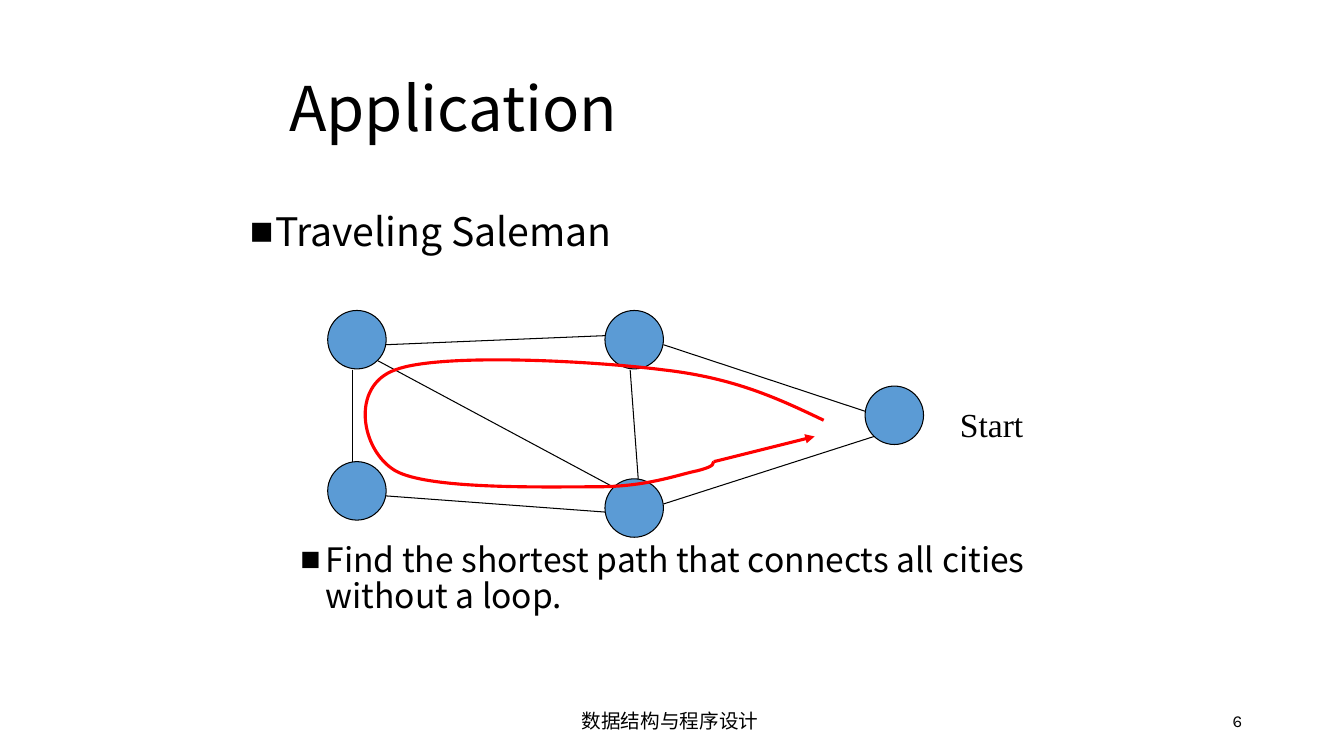
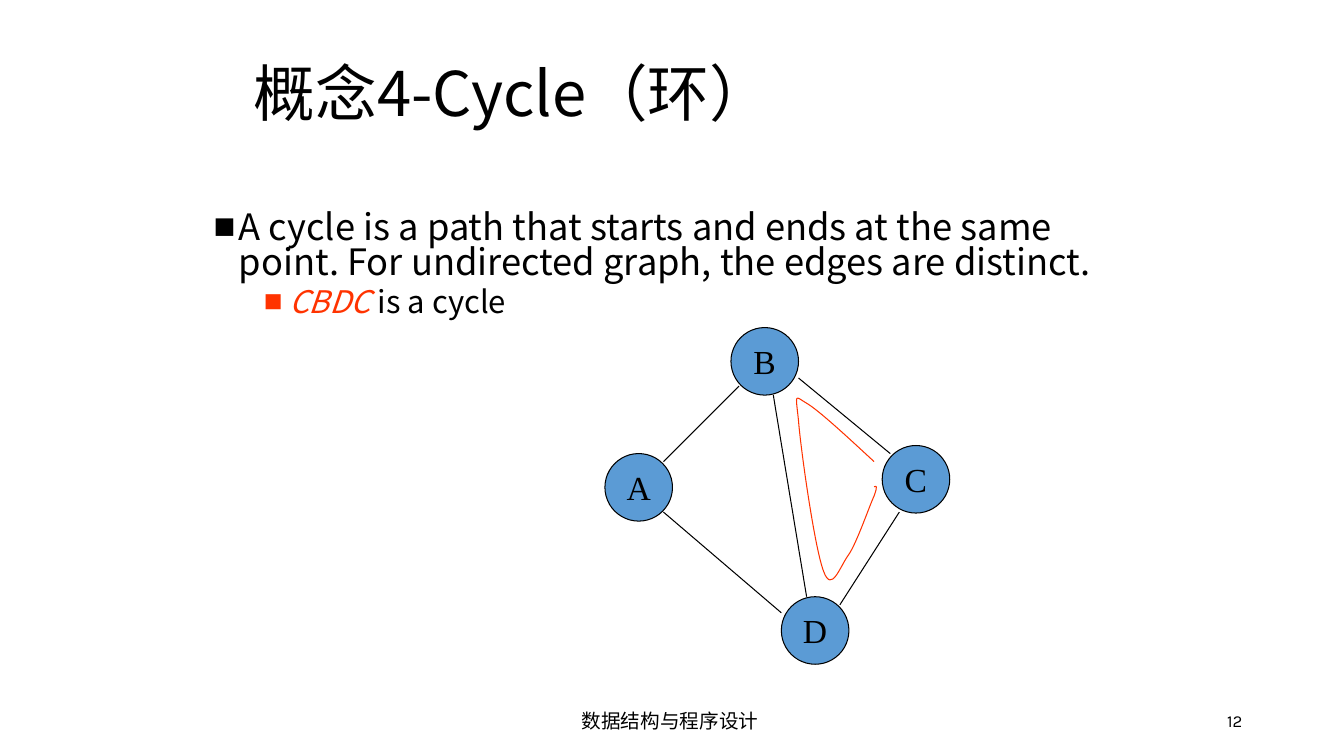
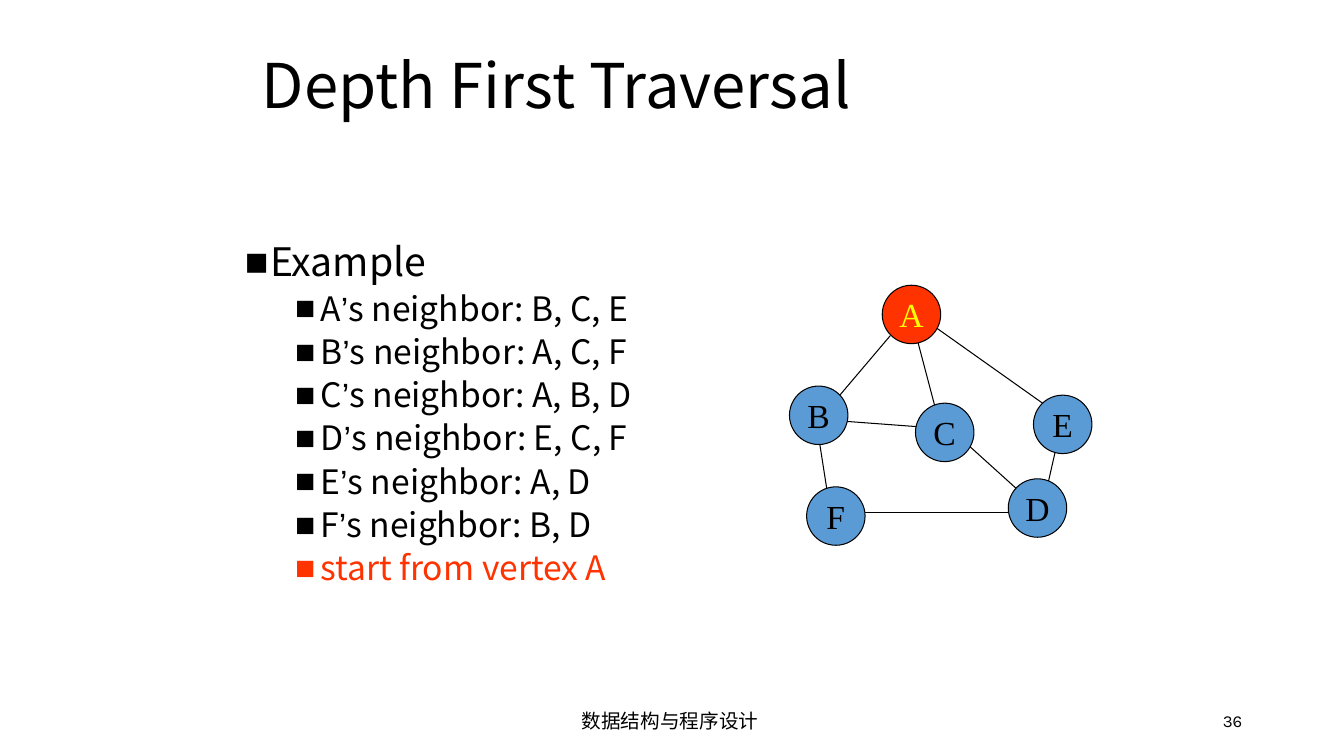
from dataclasses import dataclass

from lxml.etree import SubElement
from pptx import Presentation
from pptx.dml.color import RGBColor
from pptx.enum.shapes import MSO_CONNECTOR, MSO_SHAPE
from pptx.enum.text import MSO_ANCHOR, PP_ALIGN
from pptx.oxml.ns import qn
from pptx.util import Inches, Pt


@dataclass(frozen=True)
class Theme:
    ink: str = "000000"
    vertex: str = "5B9BD5"
    accent: str = "FF3300"
    tour: str = "FF0000"
    start_label: str = "FFFF00"
    sans: str = "Noto Sans CJK SC"
    serif: str = "Times New Roman"
    footer_font: str = "Karla"
    quote_font: str = "Arial"
    title_size: float = 44
    body_sizes: tuple = (28, 24)
    tight_sizes: tuple = (25.9, 22.2)
    label_size: float = 24
    footer_size: float = 14
    number_size: float = 12
    thin: float = 0.75
    thick: float = 2.25


THEME = Theme()
COURSE = "数据结构与程序设计 "


def apply(target, values):
    for name, value in values.items():
        setattr(target, name, value)


class Deck:
    def __init__(self, theme):
        self.theme = theme
        self.presentation = Presentation()
        apply(self.presentation, {"slide_width": Inches(13.33), "slide_height": Inches(7.5)})
        self.slide = None

    def new_slide(self, number, title, left, top):
        theme = self.theme
        self.slide = self.presentation.slides.add_slide(self.presentation.slide_layouts[6])
        self.text(COURSE, (4.42, 6.95, 4.5, 0.4), theme.footer_size, theme.footer_font, PP_ALIGN.CENTER)
        self.text(str(number), (9.42, 6.95, 3, 0.4), theme.number_size, theme.footer_font, PP_ALIGN.RIGHT)
        self.text(title, (left, top, 8.5, 1.25), theme.title_size, theme.sans, PP_ALIGN.LEFT, spacing=0.9)

    def run(self, paragraph, text, size, font, color=None, italic=False):
        run = paragraph.add_run()
        run.text = text
        apply(run.font, {"size": Pt(size), "name": font, "italic": italic})
        run.font.color.rgb = RGBColor.from_string(color or self.theme.ink)
        SubElement(run.font._element, qn("a:ea")).set("typeface", font)

    def frame(self, box, anchor, wrap=True):
        frame = self.slide.shapes.add_textbox(*map(Inches, box)).text_frame
        apply(frame, {"word_wrap": wrap, "vertical_anchor": anchor})
        return frame

    def text(self, text, box, size, font, align, spacing=1.0, wrap=True):
        paragraph = self.frame(box, MSO_ANCHOR.MIDDLE, wrap).paragraphs[0]
        apply(paragraph, {"alignment": align, "line_spacing": spacing})
        self.run(paragraph, text, size, font)

    def bullets(self, box, items, sizes=None, spacing=0.9):
        sizes = sizes or self.theme.body_sizes
        frame = self.frame(box, MSO_ANCHOR.TOP)
        for index, (level, runs) in enumerate(items):
            paragraph = frame.add_paragraph() if index else frame.paragraphs[0]
            apply(paragraph, {"level": level, "line_spacing": spacing, "space_before": Pt((10, 5)[level])})
            properties = paragraph._p.get_or_add_pPr()
            properties.set("marL", str(Inches(0.25 + 0.5 * level)))
            properties.set("indent", str(Inches(-0.25)))
            SubElement(properties, qn("a:buFont")).set("typeface", self.theme.quote_font)
            SubElement(properties, qn("a:buChar")).set("char", "■")
            for text, style in runs:
                self.run(paragraph, text, sizes[level], **{"font": self.theme.sans, **style})

    def stroke(self, line, color, width):
        line.color.rgb = RGBColor.from_string(color)
        line.width = Pt(width)

    def vertex(self, left, top, diameter, label="", fill=None, color=None):
        circle = self.slide.shapes.add_shape(
            MSO_SHAPE.OVAL, *map(Inches, (left, top, diameter, diameter)))
        circle.shadow.inherit = False
        circle.fill.solid()
        circle.fill.fore_color.rgb = RGBColor.from_string(fill or self.theme.vertex)
        self.stroke(circle.line, self.theme.ink, self.theme.thin)
        if label:
            apply(circle.text_frame, {"word_wrap": False, "vertical_anchor": MSO_ANCHOR.MIDDLE})
            paragraph = circle.text_frame.paragraphs[0]
            paragraph.alignment = PP_ALIGN.CENTER
            self.run(paragraph, label, self.theme.label_size, self.theme.serif, color)

    def edge(self, ends, color=None, width=None, arrow=False):
        edge = self.slide.shapes.add_connector(MSO_CONNECTOR.STRAIGHT, *map(Inches, ends))
        self.stroke(edge.line, color or self.theme.ink, width or self.theme.thin)
        if arrow:
            SubElement(edge.line._get_or_add_ln(), qn("a:tailEnd")).set("type", "triangle")
        SubElement(edge._element.spPr, qn("a:effectLst"))

    def edges(self, all_ends):
        for ends in all_ends:
            self.edge(ends)

    def curve(self, points, color, width):
        start, *controls = [tuple(map(Inches, point)) for point in points]
        builder = self.slide.shapes.build_freeform(*start)
        builder.add_line_segments(controls, close=False)
        curve = builder.convert_to_shape()
        curve.shadow.inherit = False
        curve.fill.background()
        self.stroke(curve.line, color, width)
        outline = next(curve._element.iter(qn("a:path")))
        segments = outline.findall(qn("a:lnTo"))
        for first in range(0, len(segments), 3):
            bezier = SubElement(outline, qn("a:cubicBezTo"))
            for segment in segments[first:first + 3]:
                bezier.append(segment[0])
                outline.remove(segment)


def traveling_salesman(deck):
    theme = deck.theme
    deck.new_slide(6, "Application", 2.77, 0.48)
    deck.bullets((2.38, 2.06, 8.5, 0.6), [(0, [("Traveling Saleman", {})])])
    deck.bullets((2.38, 5.34, 8.5, 0.9), [
        (1, [("Find the shortest path that connects all cities without a loop.", {})])])
    for left, top in ((3.25, 3.08), (6, 4.75), (3.25, 4.58), (6, 3.08), (8.58, 3.83)):
        deck.vertex(left, top, 0.58)
    deck.edges((
        (3.5, 3.67, 3.5, 4.58), (3.83, 3.42, 6, 3.33), (6.58, 3.42, 8.58, 4.08),
        (3.83, 4.92, 6, 5.08), (6.58, 5, 8.67, 4.33), (6.25, 3.67, 6.33, 4.75),
        (3.75, 3.58, 6.08, 4.83)))
    deck.text("Start", (9.42, 3.92, 0.83, 0.58), theme.label_size, theme.serif, PP_ALIGN.CENTER, wrap=False)
    deck.curve((
        (8.17, 4.17), (7.73, 3.96), (7.29, 3.75), (6.58, 3.67),
        (5.88, 3.58), (4.36, 3.5), (3.92, 3.67), (3.47, 3.83), (3.58, 4.47), (3.92, 4.67),
        (4.25, 4.86), (5.42, 4.83), (5.92, 4.83), (6.42, 4.83), (6.72, 4.71), (6.92, 4.67),
        (7.11, 4.62), (7.06, 4.6), (7.08, 4.58)), theme.tour, theme.thick)
    deck.edge((7.08, 4.58, 8.08, 4.33), theme.tour, theme.thick, arrow=True)


def cycle(deck):
    theme = deck.theme
    deck.new_slide(12, "概念4-Cycle（环）", 2.42, 0.33)
    deck.bullets((2.02, 2.06, 9.17, 1.17), [
        (0, [("A cycle is a path that starts and ends at the same point. "
              "For undirected graph, the edges are distinct.", {})]),
        (1, [("CBDC", {"color": theme.accent, "italic": True}), (" is a cycle", {})]),
    ], theme.tight_sizes, 0.8)
    for label, left, top in (("B", 7.25, 3.25), ("C", 8.75, 4.42), ("D", 7.75, 5.92), ("A", 6, 4.5)):
        deck.vertex(left, top, 0.67, label)
    deck.edges((
        (7.33, 3.83, 6.58, 4.58), (6.58, 5.08, 7.75, 6.08), (8.33, 6, 8.92, 5.08),
        (7.67, 3.92, 8, 5.92), (7.92, 3.75, 8.83, 4.5)))
    deck.curve((
        (8.67, 4.58), (8.4, 4.33), (8.12, 4.07), (8, 4), (7.88, 3.93), (7.89, 3.89), (7.92, 4.17),
        (7.94, 4.44), (8.08, 5.44), (8.17, 5.67), (8.25, 5.89), (8.33, 5.62), (8.42, 5.5),
        (8.5, 5.38), (8.62, 5.03), (8.67, 4.92), (8.71, 4.81), (8.69, 4.82), (8.67, 4.83)),
        theme.accent, theme.thin)


def depth_first(deck):
    theme = deck.theme
    deck.new_slide(36, "Depth First Traversal", 2.5, 0.25)
    neighbors = {"A": "B, C, E", "B": "A, C, F", "C": "A, B, D", "D": "E, C, F", "E": "A, D", "F": "B, D"}
    deck.bullets((2.33, 2.36, 8.17, 4.2), [
        (0, [("Example", {})]),
        *((1, [(vertex, {}), ("’", {"font": theme.quote_font}), (f"s neighbor: {adjacent}", {})])
          for vertex, adjacent in neighbors.items()),
        (1, [("start from vertex A", {"color": theme.accent})]),
    ])
    deck.edges((
        (8.25, 4.17, 9.33, 4.25), (8.83, 3.33, 8.33, 3.92), (9, 3, 9.33, 4.25),
        (9.17, 3.17, 10.58, 4.17), (8.08, 4.08, 8.25, 5.17), (10.5, 4.33, 10.33, 5.08),
        (9.42, 4.25, 10.25, 5), (8.42, 5.08, 10.17, 5.08)))
    deck.vertex(8.75, 2.83, 0.58, "A", theme.accent, theme.start_label)
    for label, left, top in (("B", 7.83, 3.83), ("C", 9.08, 4), ("E", 10.25, 3.92), ("F", 8, 4.83), ("D", 10, 4.75)):
        deck.vertex(left, top, 0.58, label)


def main():
    deck = Deck(THEME)
    for build in (traveling_salesman, cycle, depth_first):
        build(deck)
    deck.presentation.save("out.pptx")


if __name__ == "__main__":
    main()
